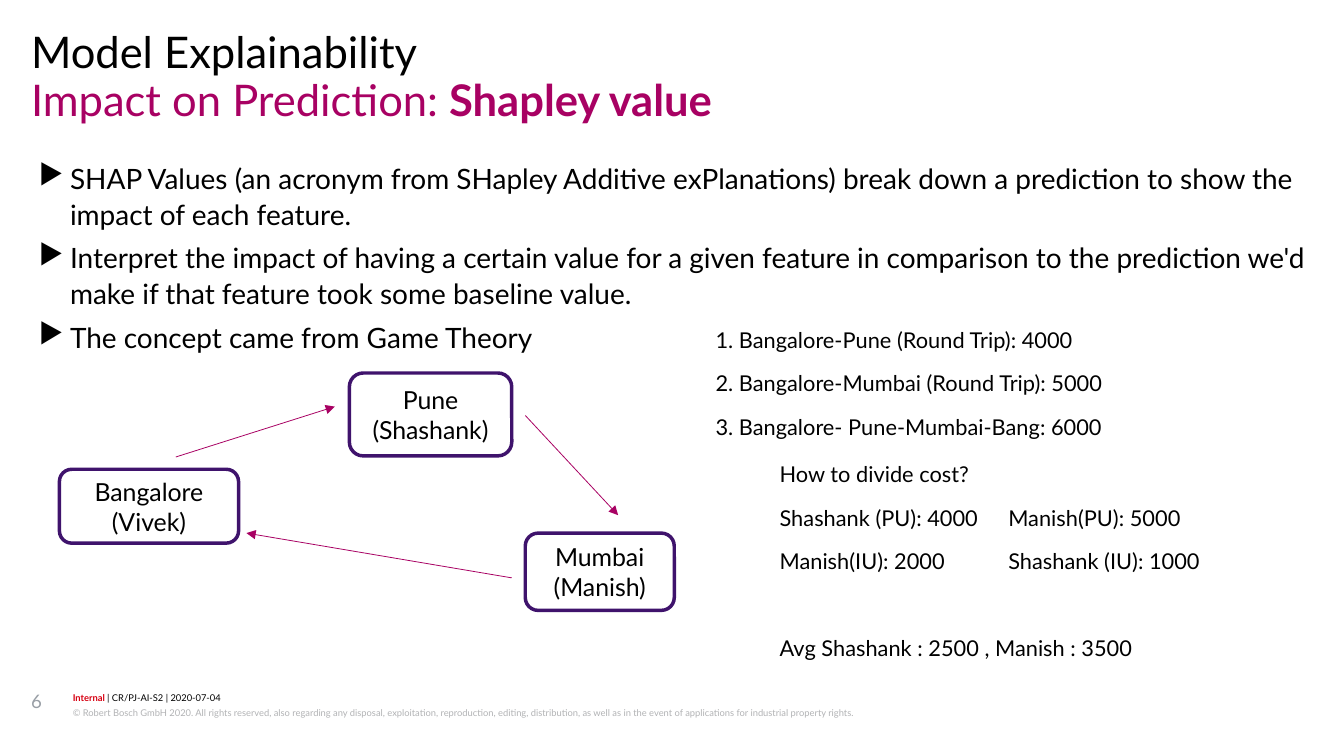
from lxml import etree
from pptx import Presentation
from pptx.dml.color import RGBColor
from pptx.enum.shapes import MSO_CONNECTOR, MSO_SHAPE
from pptx.enum.text import MSO_ANCHOR, PP_ALIGN
from pptx.oxml.ns import qn
from pptx.util import Pt

ROUNDED = MSO_SHAPE.ROUNDED_RECTANGLE
STRAIGHT = MSO_CONNECTOR.STRAIGHT
MIDDLE = MSO_ANCHOR.MIDDLE
LEFT, CENTER = PP_ALIGN.LEFT, PP_ALIGN.CENTER

BLACK = RGBColor(0x00, 0x00, 0x00)
MAGENTA = RGBColor(0xA8, 0x01, 0x63)
PURPLE = RGBColor(0x3F, 0x13, 0x6C)
RED = RGBColor(0xD7, 0x00, 0x12)
GRAY = RGBColor(0x99, 0x9F, 0xA6)
LIGHT_GRAY = RGBColor(0xB2, 0xB3, 0xB5)


def add_bullet(paragraph, character, indent):
    properties = paragraph._p.get_or_add_pPr()
    properties.set("marL", str(Pt(indent)))
    properties.set("indent", str(-Pt(indent)))
    etree.SubElement(properties, qn("a:buChar"), char=character)


def add_tab_stop(paragraph, position):
    properties = paragraph._p.get_or_add_pPr()
    tabs = etree.SubElement(properties, qn("a:tabLst"))
    etree.SubElement(tabs, qn("a:tab"), pos=str(Pt(position)), algn="l")


def write_text(frame, paragraphs, *, font="Lato", size=14, color=BLACK,
               align=LEFT, spacing=None, before=0, bullet=None, tab=None):
    """Fill a frame; a paragraph is a string or a list of (text, color, bold)."""
    for index, content in enumerate(paragraphs):
        paragraph = frame.add_paragraph() if index else frame.paragraphs[0]
        if bullet:
            add_bullet(paragraph, bullet, 20)
        if tab:
            add_tab_stop(paragraph, tab)
        paragraph.alignment = align
        paragraph.line_spacing = spacing
        if index:
            paragraph.space_before = Pt(before)
        runs = [(content, color, False)] if isinstance(content, str) else content
        for text, run_color, bold in runs:
            run = paragraph.add_run()
            run.text = text
            run.font.name = font
            run.font.size = Pt(size)
            run.font.bold = bold
            run.font.color.rgb = run_color


class SlideBuilder:
    def __init__(self, slide, line_color=MAGENTA, box_color=PURPLE):
        self.slide = slide
        self.line_color = line_color
        self.box_color = box_color

    def text(self, left, top, width, height, paragraphs, **style):
        box = self.slide.shapes.add_textbox(Pt(left), Pt(top), Pt(width), Pt(height))
        frame = box.text_frame
        frame.word_wrap = True
        frame.margin_left = frame.margin_right = 0
        frame.margin_top = frame.margin_bottom = 0
        write_text(frame, paragraphs, **style)
        return frame

    def city(self, left, top, width, height, name, traveller):
        shape = self.slide.shapes.add_shape(
            ROUNDED, Pt(left), Pt(top), Pt(width), Pt(height))
        shape.shadow.inherit = False
        shape.fill.background()
        shape.line.color.rgb = self.box_color
        shape.line.width = Pt(2.25)
        frame = shape.text_frame
        frame.word_wrap = True
        frame.vertical_anchor = MIDDLE
        write_text(frame, [name, traveller], size=16, align=CENTER)

    def arrow(self, start, end):
        connector = self.slide.shapes.add_connector(
            STRAIGHT, *(Pt(value) for value in (*start, *end)))
        connector.line.color.rgb = self.line_color
        connector.line.width = Pt(0.5)
        etree.SubElement(connector.line._get_or_add_ln(), qn("a:tailEnd"), type="triangle")
        etree.SubElement(connector._element.spPr, qn("a:effectLst"))


def main():
    presentation = Presentation()
    presentation.slide_width = Pt(864)
    presentation.slide_height = Pt(486)
    slide = presentation.slides.add_slide(presentation.slide_layouts[6])
    builder = SlideBuilder(slide)

    # Footer
    builder.text(46.8, 444.2, 720, 9, [[
        ("Internal", RED, True),
        (" | CR/PJ-AI-S2 | 2020-07-04", BLACK, False),
    ]], size=6, spacing=1.07)
    builder.text(46.8, 452.9, 720, 17, [
        "© Robert Bosch GmbH 2020. All rights reserved, also regarding any disposal, "
        "exploitation, reproduction, editing, distribution, as well as in the event "
        "of applications for industrial property rights.",
    ], size=6, color=LIGHT_GRAY, spacing=1.2)
    builder.text(20, 443.5, 23, 32, ["6"], size=12, color=GRAY)

    # Heading
    builder.text(20, 20, 823, 31, ["Model Explainability"], size=28, spacing=0.89)
    builder.text(20, 51, 823, 31, [[
        ("Impact on Prediction: ", MAGENTA, False),
        ("Shapley value", MAGENTA, True),
    ]], size=28, spacing=0.89)

    builder.text(25, 102.2, 818, 328, [
        "SHAP Values (an acronym from SHapley Additive exPlanations) break down "
        "a prediction to show the impact of each feature.",
        "Interpret the impact of having a certain value for a given feature in "
        "comparison to the prediction we'd make if that feature took some baseline value.",
        "The concept came from Game Theory",
    ], size=18, spacing=1.07, before=5, bullet="▶")

    # Round trip between the cities
    builder.city(38.2, 301.7, 115.2, 47.5, "Bangalore", "(Vivek)")
    builder.city(337.7, 342.7, 95.8, 49.7, "Mumbai", "(Manish)")
    builder.city(224.6, 239.8, 104.4, 53.3, "Pune", "(Shashank)")
    builder.arrow((113, 293.8), (215.3, 261.4))
    builder.arrow((337.7, 267.1), (397.4, 331.2))
    builder.arrow((329, 371.5), (158.4, 342.7))

    # Cost of the trips and how it is shared
    cost_style = {"spacing": Pt(23), "before": 5}
    builder.text(460, 203.8, 330, 80, [
        "1. Bangalore-Pune (Round Trip): 4000",
        "2. Bangalore-Mumbai (Round Trip): 5000",
        "3. Bangalore- Pune-Mumbai-Bang: 6000",
    ], **cost_style)
    shares = builder.text(501.2, 290.2, 340, 136, [
        "How to divide cost?",
        "Shashank (PU): 4000\tManish(PU): 5000",
        "Manish(IU): 2000\tShashank (IU): 1000",
        "Avg Shashank : 2500 , Manish : 3500",
    ], tab=147, **cost_style)
    shares.paragraphs[-1].space_before = Pt(33)

    presentation.save("out.pptx")


if __name__ == "__main__":
    main()
